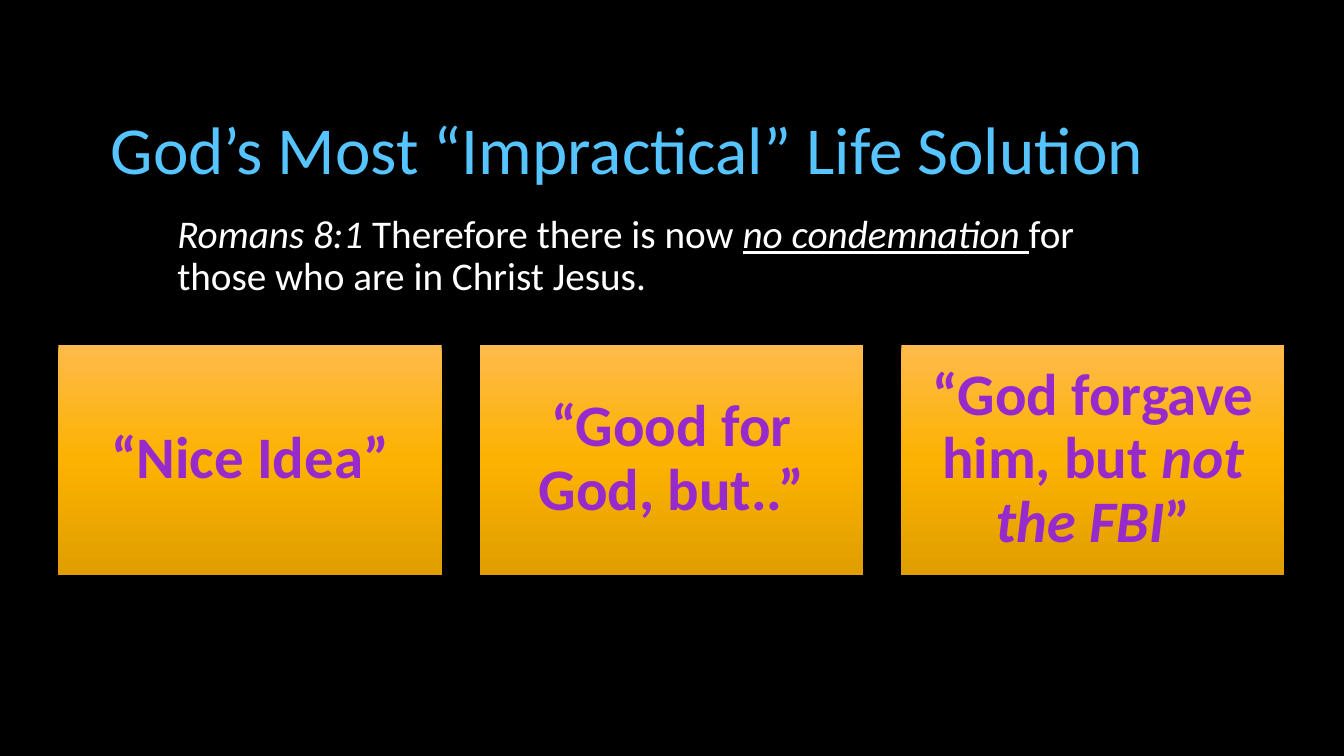
from copy import deepcopy

from pptx import Presentation
from pptx.dml.color import RGBColor
from pptx.enum.shapes import MSO_SHAPE
from pptx.enum.text import MSO_ANCHOR as Anchor, PP_ALIGN as Align
from pptx.oxml.ns import qn
from pptx.util import Inches, Pt

BLACK = RGBColor(0x00, 0x00, 0x00)
WHITE = RGBColor(0xFF, 0xFF, 0xFF)
SKY = RGBColor(0x56, 0xC5, 0xFF)
PURPLE = RGBColor(0x97, 0x2A, 0xCD)
GOLD_STOPS = [
    (0, RGBColor(0xFF, 0xBA, 0x4B)),
    (0.5, RGBColor(0xFC, 0xB2, 0x00)),
    (1, RGBColor(0xE0, 0x9E, 0x00)),
]

CARD_LEFT, CARD_TOP = 0.58, 3.42
CARD_WIDTH, CARD_HEIGHT = 3.8, 2.28
CARD_STEP = 4.18
CARD_INSET = 0.17

# Each run is (text, format), the format holding only what differs from the element's own.
VERSE = [
    ("Romans 8:1 ", {"italic": True}),
    ("Therefore there is now ", {}),
    ("no condemnation ", {"italic": True, "underline": True}),
    ("for those who are in Christ Jesus.", {}),
]
CARDS = [
    [("“Nice Idea”", {})],
    [("“Good for God, but..”", {})],
    [("“God forgave him, but ", {}), ("not the FBI", {"italic": True}), ("”", {})],
]


def add_run(paragraph, text, *, font, size, color, bold=False, italic=False, underline=False):
    run = paragraph.add_run()
    run.text = text
    run.font.name = font
    run.font.size = Pt(size)
    run.font.color.rgb = color
    run.font.bold = bold
    run.font.italic = italic
    run.font.underline = underline


class SlideBuilder:
    font = "Calibri"
    line_spacing = 0.9

    def __init__(self, slide):
        self.slide = slide

    def background(self, color):
        fill = self.slide.background.fill
        fill.solid()
        fill.fore_color.rgb = color

    def set_text(self, shape, runs, *, anchor=Anchor.TOP, align=Align.LEFT, **style):
        frame = shape.text_frame
        frame.word_wrap = True
        frame.vertical_anchor = anchor
        paragraph = frame.paragraphs[0]
        paragraph.alignment = align
        paragraph.line_spacing = self.line_spacing
        for text, changes in runs:
            add_run(paragraph, text, **{"font": self.font, **style, **changes})

    def text(self, box, runs, **style):
        shape = self.slide.shapes.add_textbox(*map(Inches, box))
        self.set_text(shape, runs, **style)

    def gradient(self, shape, stops):
        """Fill from top to bottom with three colour stops."""
        fill = shape.fill
        fill.gradient()
        fill.gradient_angle = 270
        first = shape.element.spPr.find(".//" + qn("a:gs"))
        first.addnext(deepcopy(first))
        for stop, (position, color) in zip(fill.gradient_stops, stops):
            stop.position = position
            stop.color.rgb = color

    def card(self, box, runs, **style):
        shape = self.slide.shapes.add_shape(MSO_SHAPE.RECTANGLE, *map(Inches, box))
        shape.shadow.inherit = False
        shape.line.fill.background()
        self.gradient(shape, GOLD_STOPS)
        frame = shape.text_frame
        frame.margin_left = frame.margin_right = Inches(CARD_INSET)
        frame.margin_top = frame.margin_bottom = Inches(CARD_INSET)
        self.set_text(shape, runs, anchor=Anchor.MIDDLE, align=Align.CENTER, **style)


def main():
    presentation = Presentation()
    presentation.slide_width = Inches(13.33)
    presentation.slide_height = Inches(7.5)
    builder = SlideBuilder(presentation.slides.add_slide(presentation.slide_layouts[6]))

    builder.background(BLACK)
    builder.text((1, 0.42, 10.67, 1.5), [("God’s Most “Impractical” Life Solution", {})],
                 anchor=Anchor.BOTTOM, size=48, color=SKY)
    builder.text((1.66, 2.08, 9.99, 4.5), VERSE, size=28, color=WHITE)
    for index, runs in enumerate(CARDS):
        left = CARD_LEFT + index * CARD_STEP
        builder.card((left, CARD_TOP, CARD_WIDTH, CARD_HEIGHT), runs,
                     size=42, color=PURPLE, bold=True)

    presentation.save("out.pptx")


if __name__ == "__main__":
    main()
